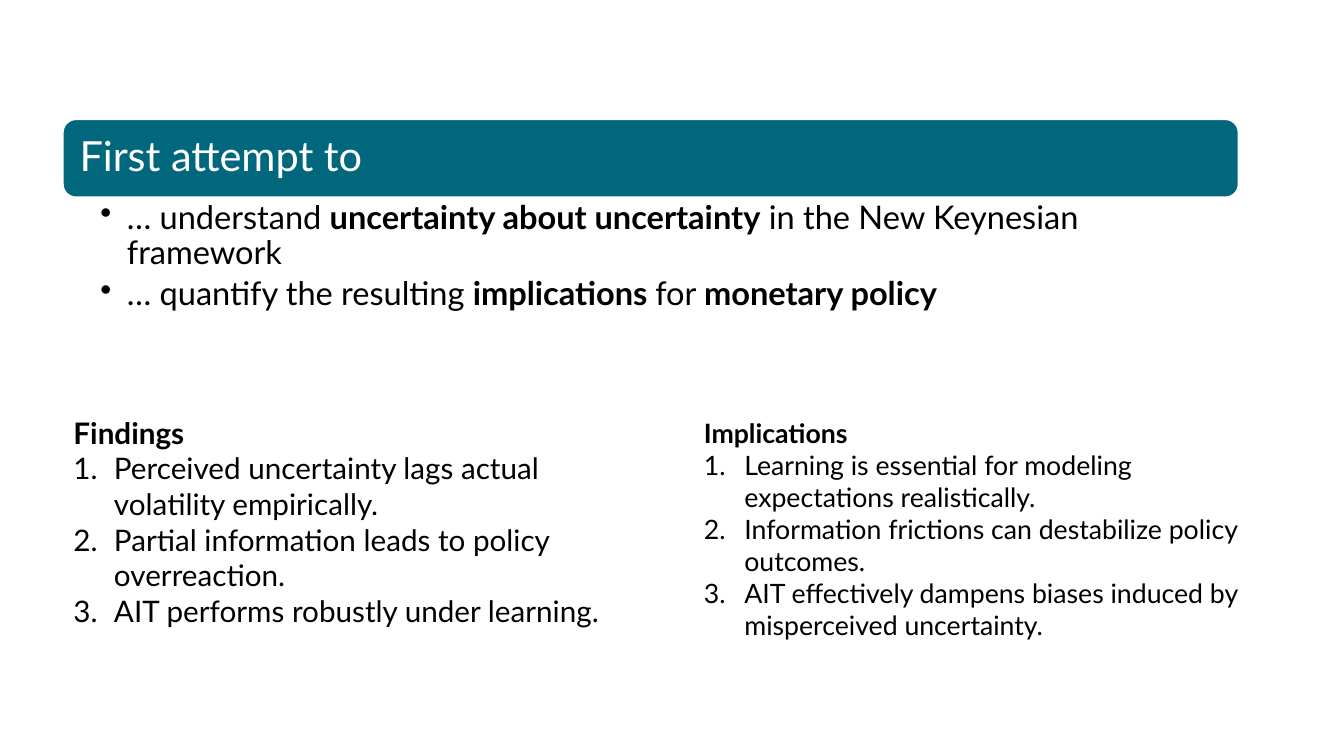
import pptx
import pptx.util
import pptx.dml.color
import pptx.enum.shapes
import pptx.enum.text
import lxml.etree
import pptx.oxml.ns

# Content: each point is a list of (text, bold) runs
TITLE = "First attempt to"
AIMS = [
    [("… understand ", False), ("uncertainty about uncertainty", True),
     (" in the New Keynesian framework", False)],
    [("… quantify the resulting ", False), ("implications ", True),
     ("for ", False), ("monetary policy", True)],
]
LISTS = [
    ("Findings", 20, 3.84, [
        "Perceived uncertainty lags actual volatility empirically.",
        "Partial information leads to policy overreaction.",
        "AIT performs robustly under learning."]),
    ("Implications", 18, 3.86, [
        "Learning is essential for modeling expectations realistically.",
        "Information frictions can destabilize policy outcomes.",
        "AIT effectively dampens biases induced by misperceived uncertainty."]),
]
COLORS = {"teal": "00677C", "white": "FFFFFF", "black": "000000"}
FONT = "Lato"

# Grid in inches
WIDE, HIGH = 12.6, 7.09
LEFT, TOP = 0.59, 1.12
SPAN, BAR, AIM = 11.02, 0.73, 1.17
COL, GAP, DEEP = SPAN / 2, 0.4, 2.52

Inches, Pt = pptx.util.Inches, pptx.util.Pt


def color(name):
    return pptx.dml.color.RGBColor.from_string(COLORS[name])


def inset(frame, left, top, right, bottom):
    frame.word_wrap = True
    frame.margin_left, frame.margin_top = Inches(left), Inches(top)
    frame.margin_right, frame.margin_bottom = Inches(right), Inches(bottom)


def write(frame, runs, size, tone="black", first=False):
    para = frame.paragraphs[0] if first else frame.add_paragraph()
    para.alignment = pptx.enum.text.PP_ALIGN.LEFT
    para.font.name, para.font.size = FONT, Pt(size)
    para.font.color.rgb = color(tone)
    for text, bold in runs:
        run = para.add_run()
        run.text, run.font.bold = text, bold
    return para


def mark(para, indent, tag, **attrs):
    props = para._p.get_or_add_pPr()
    props.set("marL", str(Inches(indent)))
    props.set("indent", str(-Inches(indent)))
    item = lxml.etree.Element(pptx.oxml.ns.qn(tag), **attrs)
    props.insert_element_before(item, "a:tabLst", "a:defRPr", "a:extLst")


def box(slide, *area):
    return slide.shapes.add_textbox(*map(Inches, area)).text_frame


def main():
    deck = pptx.Presentation()
    deck.slide_width, deck.slide_height = Inches(WIDE), Inches(HIGH)
    slide = deck.slides.add_slide(deck.slide_layouts[6])

    # Title bar
    bar = slide.shapes.add_shape(
        pptx.enum.shapes.MSO_SHAPE.ROUNDED_RECTANGLE,
        *map(Inches, (LEFT, TOP, SPAN, BAR)))
    bar.shadow.inherit = False
    bar.fill.solid()
    bar.fill.fore_color.rgb = color("teal")
    bar.line.color.rgb = color("white")
    bar.line.width = Pt(1)
    frame = bar.text_frame
    # The preset's text area already starts 0.04 inside its edge
    inset(frame, 0.12, 0.1, 0.12, 0.1)
    frame.vertical_anchor = pptx.enum.text.MSO_ANCHOR.MIDDLE
    write(frame, [(TITLE, False)], 28, "white", True).line_spacing = 0.9

    # Aims under the bar
    frame = box(slide, LEFT, TOP + BAR, SPAN, AIM)
    inset(frame, 0.35, 0.04, 0.22, 0.04)
    for row, runs in enumerate(AIMS):
        para = write(frame, runs, 22, first=row == 0)
        para.line_spacing, para.space_after = 0.9, Pt(4)
        mark(para, 0.25, "a:buChar", char="•")

    # Two numbered lists
    for col, (head, size, top, points) in enumerate(LISTS):
        frame = box(slide, LEFT + col * (COL + GAP), top, COL, DEEP)
        inset(frame, 0.1, 0.05, 0.1, 0.05)
        write(frame, [(head, True)], size, first=True)
        for point in points:
            para = write(frame, [(point, False)], size)
            mark(para, 0.38, "a:buAutoNum", type="arabicPeriod")

    deck.save("out.pptx")


if __name__ == "__main__":
    main()
